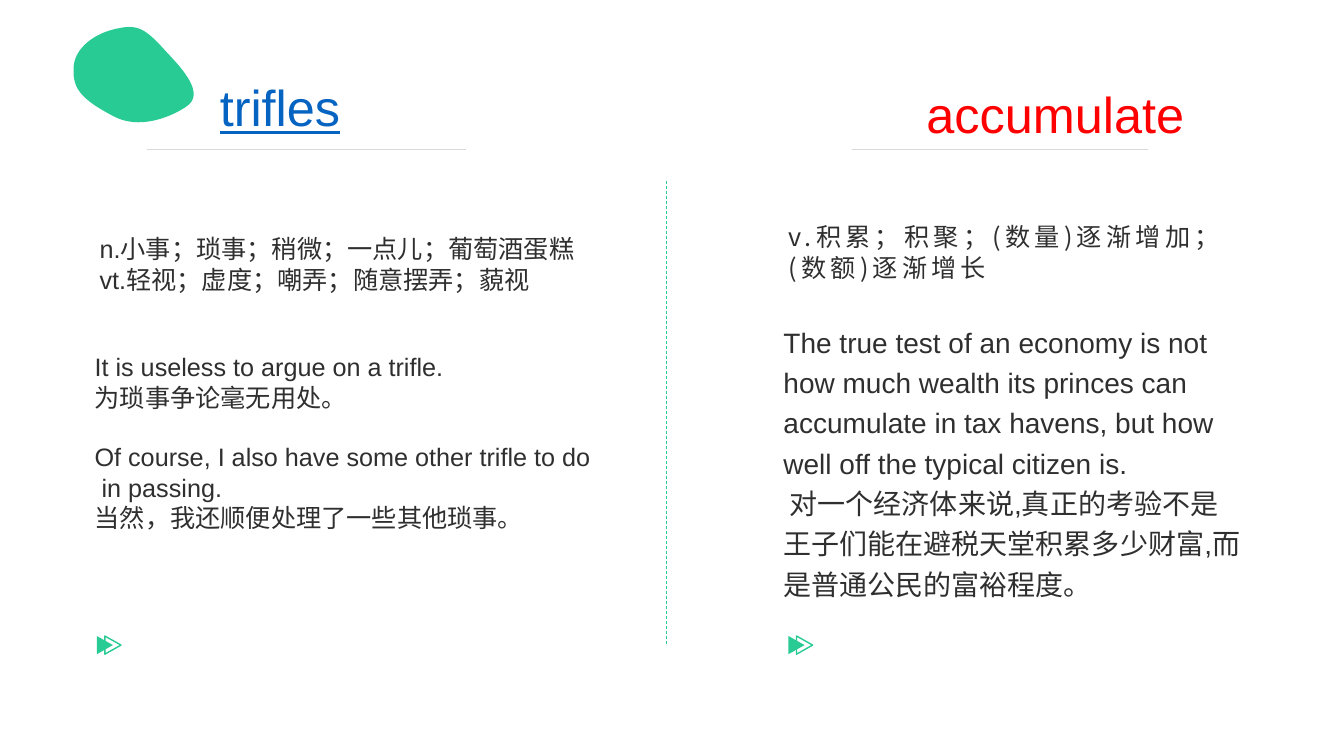
from pptx import Presentation
from pptx.dml.color import RGBColor
from pptx.enum.dml import MSO_LINE
from pptx.enum.shapes import MSO_CONNECTOR, MSO_SHAPE
from pptx.enum.text import MSO_ANCHOR, MSO_AUTO_SIZE, PP_ALIGN
from pptx.oxml.ns import qn
from pptx.util import Inches, Pt
from lxml.etree import SubElement

GREEN, GREY, INK = "28CB94", "D9D9D9", "2F2F2F"
RED, BLUE = "FF0000", "0563C1"
LATIN, HAN = "Arial", "Noto Sans CJK SC"


def color(code):
    return RGBColor.from_string(code)


def write(shape, lines, size=18, ink=INK, font=LATIN, inset=True, wrap=True,
          under=None, track=0, pitch=None, gaps=None):
    """Fill a shape with paragraphs; gaps maps a line number to points before it."""
    frame = shape.text_frame
    frame.word_wrap = wrap
    frame.auto_size = MSO_AUTO_SIZE.NONE
    frame.vertical_anchor = MSO_ANCHOR.TOP
    side, edge = (0.1, 0.05) if inset else (0, 0)
    frame.margin_left = frame.margin_right = Inches(side)
    frame.margin_top = frame.margin_bottom = Inches(edge)
    for i, line in enumerate(lines):
        para = frame.paragraphs[0] if i == 0 else frame.add_paragraph()
        para.alignment = PP_ALIGN.LEFT
        para.line_spacing = pitch
        para.space_before = Pt((gaps or {}).get(i, 0))
        run = para.add_run()
        run.text = line
        run.font.size = Pt(size)
        run.font.name = font
        run.font.underline = under
        run.font.color.rgb = color(ink)
        props = run.font._element
        SubElement(props, qn("a:ea")).set("typeface", HAN)
        if track:
            props.set("spc", str(track * 100))


def text(slide, x, y, w, h, lines, **style):
    box = slide.shapes.add_textbox(Inches(x), Inches(y), Inches(w), Inches(h))
    write(box, lines, **style)


def rule(slide, x1, y1, x2, y2, ink, dash=None):
    line = slide.shapes.add_connector(
        MSO_CONNECTOR.STRAIGHT, Inches(x1), Inches(y1), Inches(x2), Inches(y2))
    line.line.color.rgb = color(ink)
    line.line.width = Pt(0.5)
    line.line.dash_style = dash
    SubElement(line._element.spPr, qn("a:effectLst"))


def marker(slide, x, y):
    """A solid and a hollow triangle, both pointing right."""
    for i, solid in enumerate((True, False)):
        tri = slide.shapes.add_shape(
            MSO_SHAPE.ISOSCELES_TRIANGLE, Inches(x + 0.08 * i), Inches(y),
            Inches(0.18), Inches(0.16))
        tri.rotation = 90
        tri.shadow.inherit = False
        if solid:
            tri.fill.solid()
            tri.fill.fore_color.rgb = color(GREEN)
            tri.line.fill.background()
        else:
            tri.fill.background()
            tri.line.color.rgb = color(GREEN)
            tri.line.width = Pt(1)


def blob(slide, x, y):
    """A rounded pebble, its curves traced as short steps."""
    start = (1.15, 0.81)
    curves = [((1.23, 0.74), (1.24, 0.62), (1, 0.36)),
              ((0.76, 0.1), (0.69, 0), (0.46, 0.05)),
              ((0.23, 0.09), (0.02, 0.24), (0.01, 0.44)),
              ((0, 0.64), (0.07, 0.75), (0.42, 0.93)),
              ((0.72, 1.08), (1.08, 0.87), start)]
    points, last = [], start
    for a, b, end in curves:
        for step in range(1, 25):
            t = step / 24
            u = 1 - t
            points.append(tuple(
                Inches(o + u**3 * p + 3 * u * u * t * q + 3 * u * t * t * r + t**3 * s)
                for o, p, q, r, s in zip((x, y), last, a, b, end)))
        last = end
    pen = slide.shapes.build_freeform(*points[-1])
    pen.add_line_segments(points, close=True)
    shape = pen.convert_to_shape()
    shape.shadow.inherit = False
    shape.fill.solid()
    shape.fill.fore_color.rgb = color(GREEN)
    shape.line.fill.background()


def trifles(slide, x, y):
    # Heading word
    title = slide.shapes.title
    title.left, title.top = Inches(x + 1.24), Inches(y)
    title.width, title.height = Inches(2.46), Inches(0.71)
    write(title, ["trifles"], size=36, ink=BLUE, under=True)
    rule(slide, x + 0.62, y + 0.77, x + 3.78, y + 0.77, GREY)
    # Meanings and examples
    text(slide, x + 0.05, y + 1.56, 6.67, 0.71,
         ["n.小事；琐事；稍微；一点儿；葡萄酒蛋糕",
          "vt.轻视；虚度；嘲弄；随意摆弄；藐视"])
    text(slide, x, y + 2.73, 6.67, 1.92,
         ["It is useless to argue on a trifle.",
          "为琐事争论毫无用处。",
          "Of course, I also have some other trifle to do",
          " in passing.",
          "当然，我还顺便处理了一些其他琐事。"], gaps={2: 21})
    marker(slide, x + 0.11, y + 5.61)


def accumulate(slide, x, y):
    # Heading word
    text(slide, x + 1.32, y + 0.07, 2.78, 0.71, ["accumulate"],
         size=36, ink=RED, wrap=False)
    rule(slide, x + 0.68, y + 0.77, x + 3.62, y + 0.77, GREY)
    # Meanings and example
    text(slide, x + 0.05, y + 1.49, 4.11, 0.61,
         ["v.积累；积聚；(数量)逐渐增加；(数额)逐渐增长"],
         font=HAN, inset=False, track=3)
    text(slide, x, y + 2.45, 4.55, 2.79,
         ["The true test of an economy is not how much wealth its princes can "
          "accumulate in tax havens, but how well off the typical citizen is.",
          " 对一个经济体来说,真正的考验不是王子们能在避税天堂积累多少财富,"
          "而是普通公民的富裕程度。"],
         size=20, inset=False, pitch=1.2)
    marker(slide, x + 0.04, y + 5.61)


def main():
    deck = Presentation()
    deck.slide_width, deck.slide_height = Inches(13.33), Inches(7.5)
    slide = deck.slides.add_slide(deck.slide_layouts[5])
    blob(slide, 0.72, 0.23)
    rule(slide, 6.61, 1.8, 6.61, 6.41, GREEN, MSO_LINE.DASH)
    trifles(slide, 0.84, 0.71)
    accumulate(slide, 7.77, 0.71)
    deck.save("out.pptx")


if __name__ == "__main__":
    main()
